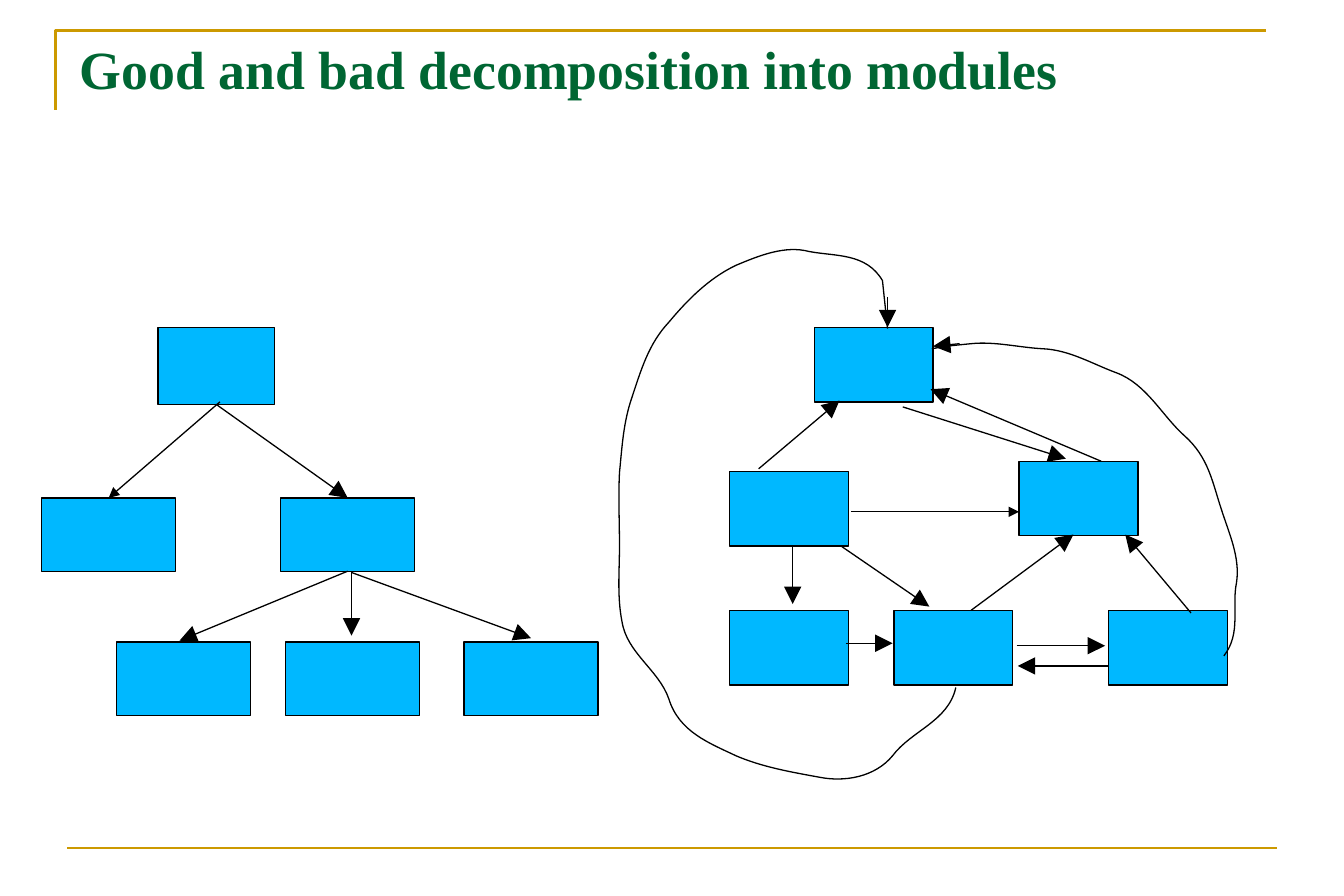
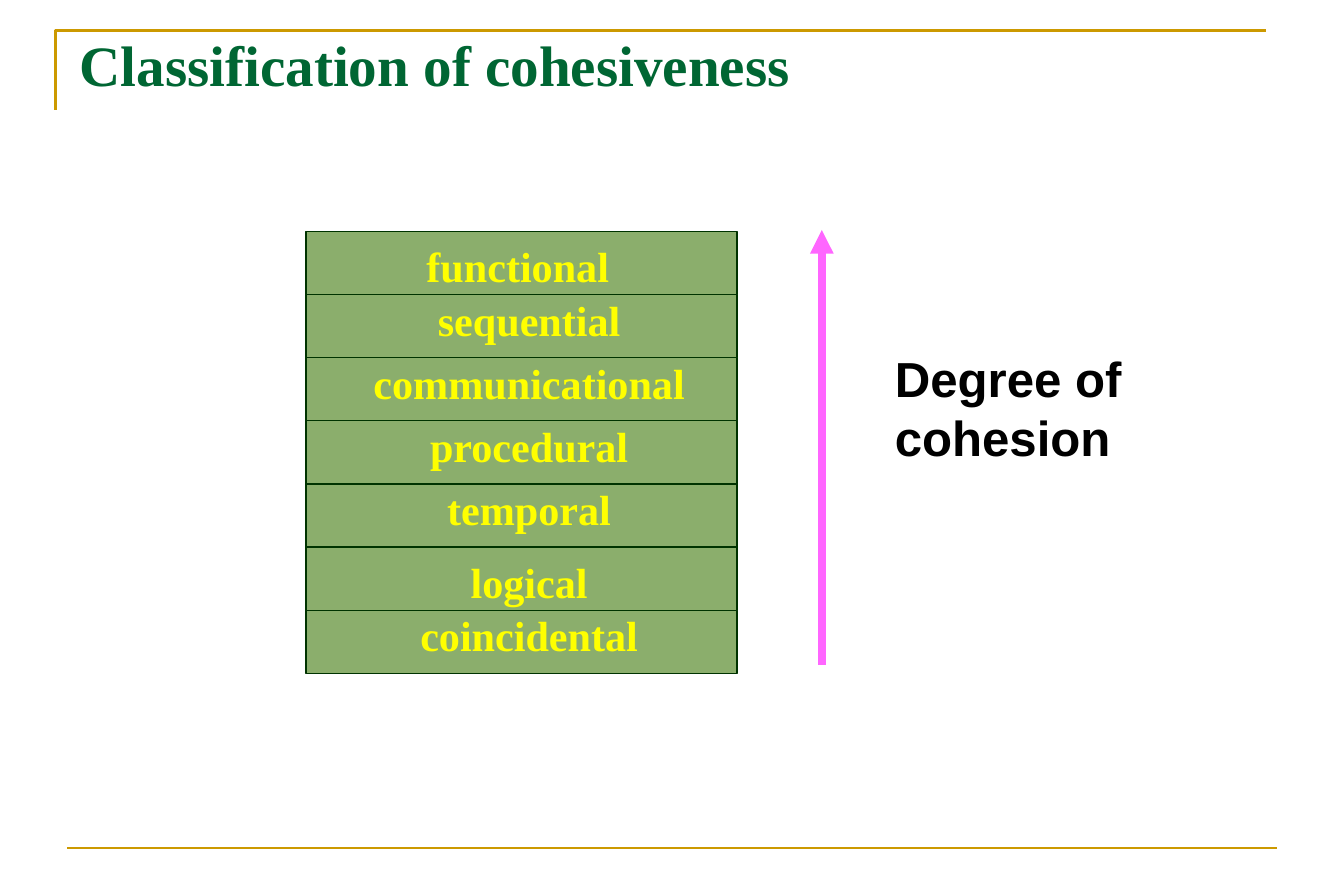
"""Build two slides on module decomposition and cohesiveness."""
from dataclasses import dataclass

from lxml import etree
from pptx import Presentation
from pptx.dml.color import RGBColor
from pptx.enum.shapes import MSO_CONNECTOR, MSO_SHAPE
from pptx.enum.text import MSO_ANCHOR, MSO_AUTO_SIZE, PP_ALIGN
from pptx.oxml.ns import qn
from pptx.util import Pt

ROUNDED = MSO_SHAPE.ROUNDED_RECTANGLE
STRAIGHT = MSO_CONNECTOR.STRAIGHT
TOP = MSO_ANCHOR.TOP
LEFT, CENTER = PP_ALIGN.LEFT, PP_ALIGN.CENTER
NO_AUTOFIT = MSO_AUTO_SIZE.NONE
PX = 9144
TITLE_ONLY = 5


@dataclass(frozen=True)
class Theme:
    """Colours, fonts, type sizes and line widths."""
    gold: str = "CC9900"
    title: str = "006633"
    module: str = "00B8FF"
    ink: str = "000000"
    band: str = "8BAE6C"
    band_edge: str = "003300"
    label: str = "FFFF00"
    degree: str = "FF66FF"
    serif: str = "Times New Roman"
    sans: str = "Arial"
    label_size: float = 24
    degree_size: float = 28
    thin: float = 0.75
    rule: float = 1.5
    thick: float = 4.5


THEME = Theme()
SLIDE_SIZE = (1063, 709)
TITLE_BOX = (53, 29, 957, 67)
CORNER = [(44, 87), (44, 24), (1001, 24)]
FOOT_RULE = ((53, 671), (1010, 671))
DECOMPOSITION = {"text": "Good and bad decomposition into modules", "size": 30.6, "spacing": 0.9}
COHESIVENESS = {"text": "Classification of cohesiveness", "size": 32.5, "spacing": 0.8}

MODULES = {
    "root": (125, 259, 92, 61),
    "leaf": (33, 394, 106, 58),
    "branch": (222, 394, 106, 58),
    "first": (92, 508, 106, 58),
    "second": (226, 508, 106, 58),
    "third": (367, 508, 106, 58),
}
TANGLED_SIZE = (94, 59)
TANGLED = {
    "summit": (644, 259),
    "east": (806, 365),
    "southeast": (877, 483),
    "south": (707, 483),
    "southwest": (577, 483),
    "west": (577, 373),
}
MODULES.update({name: corner + TANGLED_SIZE for name, corner in TANGLED.items()})

SIDES = {"top": 0, "left": 1, "bottom": 2, "right": 3}
CALLS = [
    ((174, 318), ("leaf", "top"), "med"),
    (("root", "bottom"), ("branch", "top"), "lg"),
    (("branch", "bottom"), (142, 507), "lg"),
    ((278, 453), (278, 503), "lg"),
    ((278, 453), (420, 505), "lg"),
    ((627, 432), (627, 478), "lg"),
    ((673, 405), (806, 405), "med"),
    ((665, 432), (735, 480), "lg"),
    ((714, 322), (843, 363), "lg"),
    ((768, 483), (849, 423), "lg"),
    ((600, 371), (664, 317), "lg"),
    ((871, 365), (736, 308), "lg"),
    ((942, 485), (890, 423), "lg"),
    ((759, 272), (738, 274), "lg"),
    ((702, 235), (702, 259), "lg"),
    ((804, 511), (874, 511), "lg"),
    ((877, 527), (805, 527), "lg"),
    ((669, 509), (706, 509), "lg"),
]
LOOPS = [
    {
        "start": (968, 519),
        "curves": [
            ((982, 501), (974, 480), (978, 461)),
            ((981, 441), (972, 422), (966, 403)),
            ((959, 382), (956, 362), (937, 345)),
            ((919, 329), (907, 304), (883, 295)),
            ((864, 288), (846, 277), (825, 276)),
            ((806, 275), (787, 270), (768, 272)),
        ],
        "tail": [(748, 274), (737, 276)],
    },
    {
        "start": (756, 544),
        "curves": [
            ((750, 571), (721, 578), (706, 598)),
            ((692, 615), (668, 619), (648, 615)),
            ((626, 611), (603, 607), (582, 598)),
            ((561, 588), (537, 579), (529, 553)),
            ((521, 530), (496, 517), (492, 492)),
            ((488, 472), (490, 452), (490, 432)),
            ((490, 413), (489, 393), (490, 374)),
            ((492, 354), (493, 334), (500, 314)),
            ((507, 293), (513, 272), (529, 255)),
            ((544, 237), (561, 220), (582, 210)),
            ((601, 202), (621, 194), (640, 199)),
            ((661, 203), (685, 200), (698, 222)),
        ],
        "tail": [(700, 241), (702, 260)],
    },
]

BAND_LEFT, BAND_TOP, BAND_WIDTH, BAND_HEIGHT = 242, 183, 341, 50
LABEL_WIDTH = 291
COHESION_LEVELS = [
    ("functional", 264, 13),
    ("sequential", 273, 5),
    ("communicational", 273, 5),
    ("procedural", 273, 5),
    ("temporal", 273, 5),
    ("logical", 273, 13),
    ("coincidental", 273, 5),
]
DEGREE_ARROW = ((650, 526), (650, 182))
DEGREE_BOX = (698, 271, 250, 104)


def emu(lengths):
    """Turn px lengths into EMU."""
    return [length * PX for length in lengths]


def write(frame, text, *, size, color, font=THEME.serif, align=LEFT, spacing=1.0, inset=10):
    """Fill a text frame with one bold paragraph."""
    frame.word_wrap = True
    frame.auto_size = NO_AUTOFIT
    frame.vertical_anchor = TOP
    frame.margin_left = frame.margin_right = inset * PX
    frame.margin_top = frame.margin_bottom = 5 * PX
    paragraph = frame.paragraphs[0]
    paragraph.alignment = align
    paragraph.line_spacing = spacing
    run = paragraph.add_run()
    run.text = text
    run.font.name = font
    run.font.size = Pt(size)
    run.font.bold = True
    run.font.color.rgb = RGBColor.from_string(color)


def outline(part, color, width):
    """Set the line colour and width of a part."""
    part.line.color.rgb = RGBColor.from_string(color)
    part.line.width = Pt(width)


def add_box(slide, box, fill, edge):
    """Add a filled box with barely rounded corners and a thin edge."""
    panel = slide.shapes.add_shape(ROUNDED, *emu(box))
    panel.adjustments[0] = 0
    panel.shadow.inherit = False
    panel.fill.solid()
    panel.fill.fore_color.rgb = RGBColor.from_string(fill)
    outline(panel, edge, THEME.thin)
    return panel


def add_label(slide, box, text, **style):
    """Add a text box."""
    write(slide.shapes.add_textbox(*emu(box)).text_frame, text, **style)


def add_line(slide, start, end, color, width, head=None):
    """Add a straight line, with an arrowhead of the given size if any."""
    line = slide.shapes.add_connector(STRAIGHT, *emu(start + end))
    outline(line, color, width)
    properties = line.element.spPr
    if head:
        etree.SubElement(properties.find(qn("a:ln")), qn("a:tailEnd"),
                         type="triangle", w=head, len=head)
    etree.SubElement(properties, qn("a:effectLst"))
    return line


def add_outline(slide, points, color, width):
    """Add an open unfilled outline through px points."""
    builder = slide.shapes.build_freeform(*points[0], scale=PX)
    builder.add_line_segments(points[1:], close=False)
    open_line = builder.convert_to_shape()
    open_line.shadow.inherit = False
    open_line.fill.background()
    outline(open_line, color, width)
    return open_line


def add_loop(slide, start, curves, tail):
    """Add a curved line: cubic curves followed by straight segments."""
    controls = [point for curve in curves for point in curve]
    loop = add_outline(slide, [start] + controls + tail, THEME.ink, THEME.thin)
    segments = list(loop.element.iter(qn("a:lnTo")))
    for first in range(0, len(controls), 3):
        curve = etree.Element(qn("a:cubicBezTo"))
        segments[first].addprevious(curve)
        for segment in segments[first:first + 3]:
            curve.append(segment[0])
            segment.getparent().remove(segment)


def add_frame(layout, slide):
    """Draw the gold frame and hand it over to the layout."""
    corner = add_outline(slide, CORNER, THEME.gold, THEME.rule)
    foot = add_line(slide, *FOOT_RULE, THEME.gold, THEME.rule)
    for part in (corner, foot):
        layout.shapes.element.append(part.element)


def add_titled_slide(deck, heading):
    """Add a slide with its styled title."""
    slide = deck.slides.add_slide(deck.slide_layouts[TITLE_ONLY])
    title = slide.shapes.title
    title.left, title.top, title.width, title.height = emu(TITLE_BOX)
    write(title.text_frame, color=THEME.title, **heading)
    return slide


def add_call(slide, boxes, start, end, head):
    """Add an arrow whose ends are points or joined box sides."""
    joined = [isinstance(place[0], str) for place in (start, end)]
    arrow = add_line(slide, (0, 0) if joined[0] else start, (0, 0) if joined[1] else end,
                     THEME.ink, THEME.thin, head)
    if joined[0]:
        arrow.begin_connect(boxes[start[0]], SIDES[start[1]])
    if joined[1]:
        arrow.end_connect(boxes[end[0]], SIDES[end[1]])


def draw_decomposition(slide):
    """Draw the module tree and the tangled modules."""
    boxes = {name: add_box(slide, box, THEME.module, THEME.ink)
             for name, box in MODULES.items()}
    for loop in LOOPS:
        add_loop(slide, **loop)
    for call in CALLS:
        add_call(slide, boxes, *call)


def draw_cohesiveness(slide):
    """Draw the stack of cohesion levels and the degree arrow."""
    tops = [BAND_TOP + BAND_HEIGHT * level for level in range(len(COHESION_LEVELS))]
    for top in tops:
        add_box(slide, (BAND_LEFT, top, BAND_WIDTH, BAND_HEIGHT), THEME.band, THEME.band_edge)
    for top, (level, left, drop) in zip(tops, COHESION_LEVELS):
        add_label(slide, (left, top + drop, LABEL_WIDTH, BAND_HEIGHT), level,
                  size=THEME.label_size, color=THEME.label, align=CENTER,
                  spacing=0.72, inset=2)
    add_line(slide, *DEGREE_ARROW, THEME.degree, THEME.thick, "med")
    add_label(slide, DEGREE_BOX, "Degree of cohesion", size=THEME.degree_size,
              color=THEME.ink, font=THEME.sans)


def main():
    """Build and save the deck."""
    deck = Presentation()
    deck.slide_width, deck.slide_height = emu(SLIDE_SIZE)
    decomposition = add_titled_slide(deck, DECOMPOSITION)
    add_frame(deck.slide_layouts[TITLE_ONLY], decomposition)
    draw_decomposition(decomposition)
    draw_cohesiveness(add_titled_slide(deck, COHESIVENESS))
    deck.save("out.pptx")


if __name__ == "__main__":
    main()
